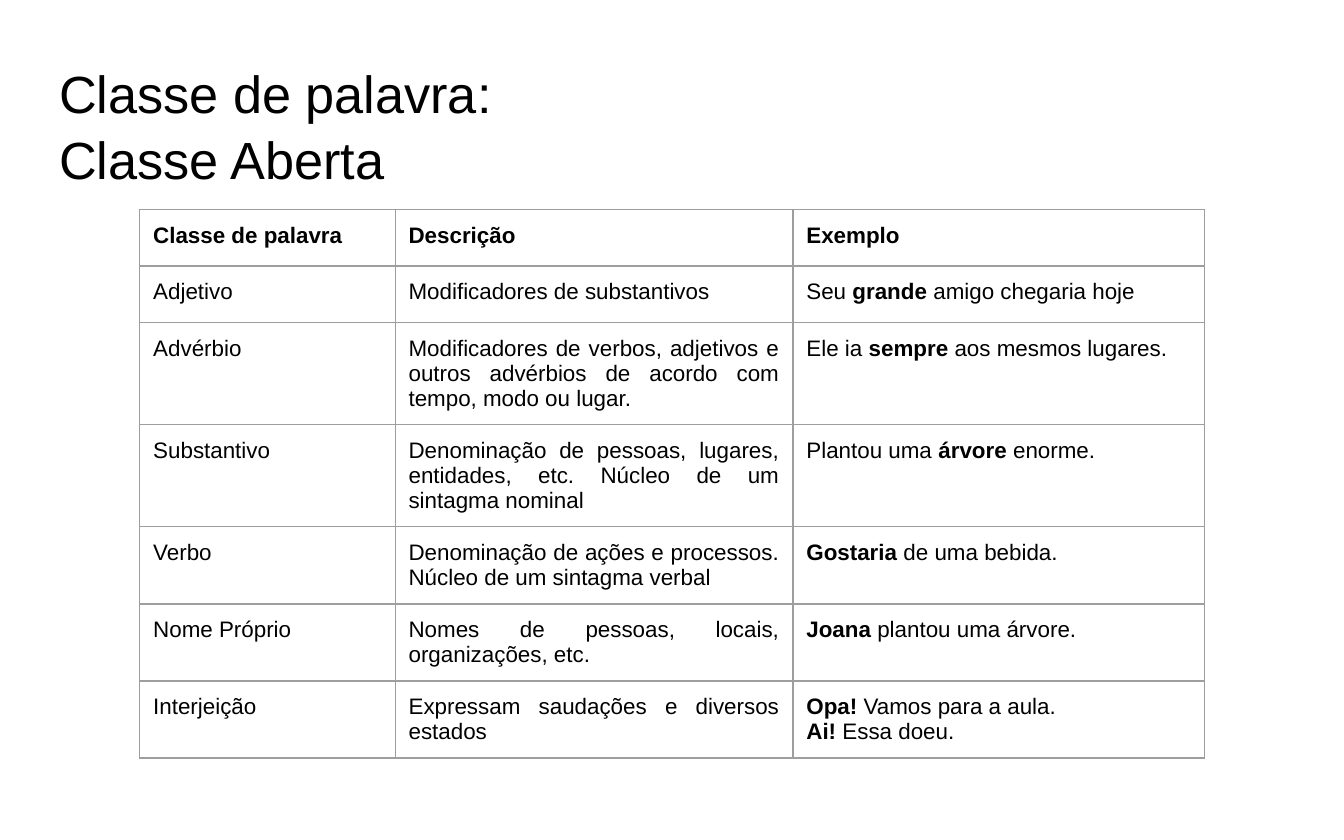
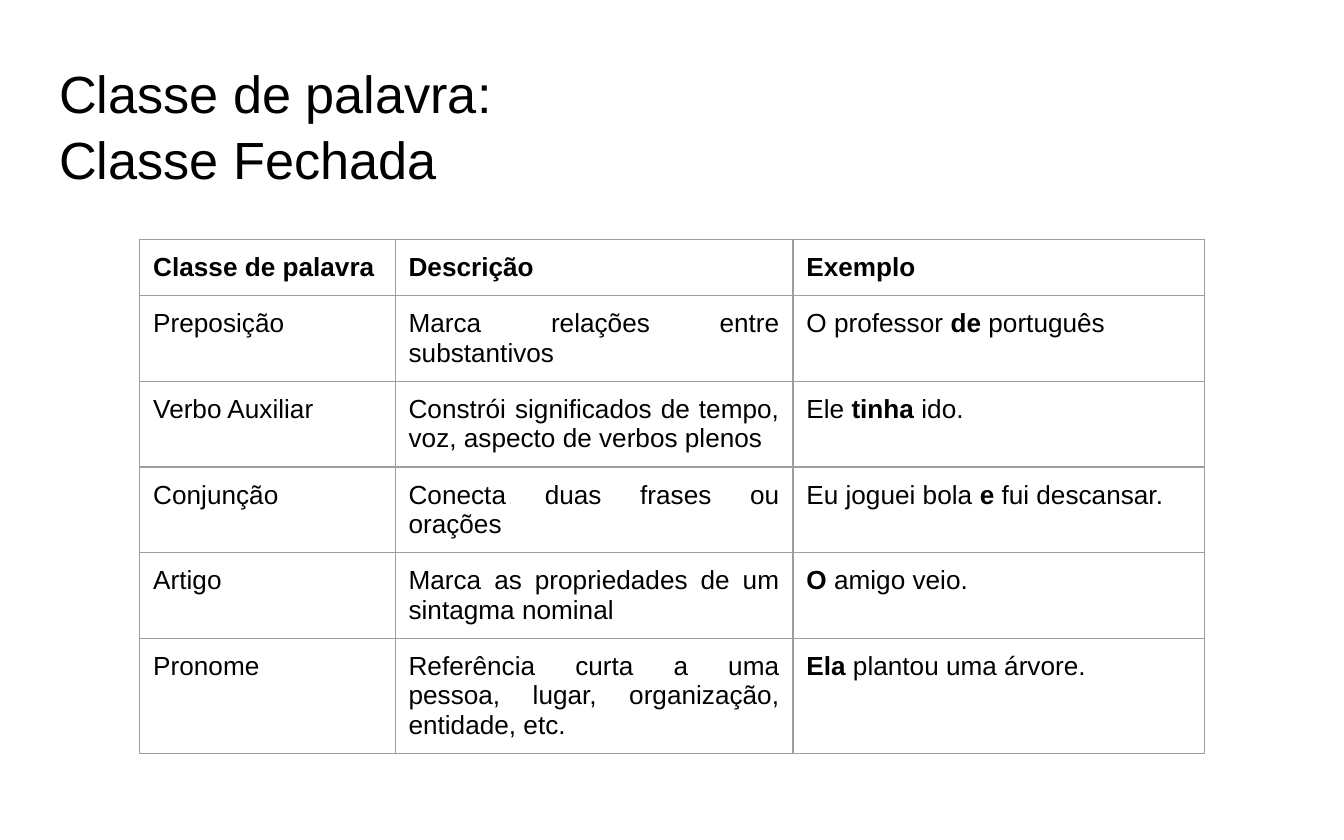
"""Build two slides with tables of open and closed Portuguese word classes."""
import lxml.etree
import pptx
import pptx.dml.color
import pptx.enum.text
import pptx.oxml.ns
import pptx.util

Inches = pptx.util.Inches
ALIGN = pptx.enum.text.PP_ALIGN
COLORS = {"background": "FFFFFF", "text": "000000", "border": "9E9E9E"}
FONT = "Arial"
INSET = Inches(0.1)
COLUMN_WIDTHS = [1.9, 2.96, 3.06]
ROW_HEIGHT = 0.42
HEADER = ("*Classe de palavra*", "*Descrição*", "*Exemplo*")

SLIDES = [
    {
        "title": "Classe de palavra:\nClasse Aberta",
        "top": 1.56,
        "size": 12,
        "rows": [
            ("Adjetivo", "Modificadores de substantivos",
             "Seu *grande* amigo chegaria hoje"),
            ("Advérbio",
             "Modificadores de verbos, adjetivos e outros advérbios de acordo com tempo, modo ou lugar.",
             "Ele ia *sempre* aos mesmos lugares."),
            ("Substantivo",
             "Denominação de pessoas, lugares, entidades, etc. Núcleo de um sintagma nominal",
             "Plantou uma *árvore* enorme."),
            ("Verbo", "Denominação de ações e processos. Núcleo de um sintagma verbal",
             "*Gostaria* de uma bebida."),
            ("Nome Próprio", "Nomes de pessoas, locais, organizações, etc.",
             "*Joana* plantou uma árvore."),
            ("Interjeição", "Expressam saudações e diversos estados",
             "*Opa! *Vamos para a aula.\n*Ai! *Essa doeu."),
        ],
    },
    {
        "title": "Classe de palavra:\nClasse Fechada",
        "top": 1.78,
        "size": 14,
        "rows": [
            ("Preposição", "Marca relações entre substantivos",
             "O professor *de* português"),
            ("Verbo Auxiliar",
             "Constrói significados de tempo, voz, aspecto de verbos plenos ",
             "Ele *tinha *ido."),
            ("Conjunção", "Conecta duas frases ou orações",
             "Eu joguei bola *e* fui descansar."),
            ("Artigo", "Marca as propriedades de um sintagma nominal",
             "*O* amigo veio."),
            ("Pronome", "Referência curta a uma pessoa, lugar, organização, entidade, etc.",
             "*Ela* plantou uma árvore."),
        ],
    },
]


def write_text(frame, text, size, align=ALIGN.LEFT, line_spacing=1.0):
    for index, line in enumerate(text.split("\n")):
        paragraph = frame.add_paragraph() if index else frame.paragraphs[0]
        paragraph.alignment = align
        paragraph.line_spacing = line_spacing
        for position, part in enumerate(line.split("*")):
            if part:
                run = paragraph.add_run()
                run.text = part
                run.font.name = FONT
                run.font.size = pptx.util.Pt(size)
                run.font.bold = position % 2 == 1
                run.font.color.rgb = pptx.dml.color.RGBColor.from_string(COLORS["text"])


def add_borders(cell):
    properties = cell._tc.get_or_add_tcPr()
    qn = pptx.oxml.ns.qn
    for side in ("lnL", "lnR", "lnT", "lnB"):
        line = lxml.etree.SubElement(properties, qn(f"a:{side}"), w=str(pptx.util.Pt(0.75)))
        fill = lxml.etree.SubElement(line, qn("a:solidFill"))
        lxml.etree.SubElement(fill, qn("a:srgbClr"), val=COLORS["border"])


presentation = pptx.Presentation()
presentation.slide_width = Inches(10)
presentation.slide_height = Inches(6.25)
background = presentation.slide_master.background.fill
background.solid()
background.fore_color.rgb = pptx.dml.color.RGBColor.from_string(COLORS["background"])

for content in SLIDES:
    slide = presentation.slides.add_slide(presentation.slide_layouts[5])
    title = slide.shapes.title
    title.left, title.top = Inches(0.34), Inches(0.33)
    title.width, title.height = Inches(9.32), Inches(0.7)
    frame = title.text_frame
    frame.margin_left = frame.margin_right = INSET
    frame.margin_top = frame.margin_bottom = INSET
    frame.auto_size = pptx.enum.text.MSO_AUTO_SIZE.NONE
    frame.vertical_anchor = pptx.enum.text.MSO_ANCHOR.TOP
    write_text(frame, content["title"], 28, line_spacing=1.05)

    rows = [HEADER] + content["rows"]
    table = slide.shapes.add_table(
        len(rows), len(COLUMN_WIDTHS), Inches(1.04), Inches(content["top"]),
        Inches(sum(COLUMN_WIDTHS)), Inches(ROW_HEIGHT * len(rows))).table
    table.first_row = table.horz_banding = False
    for column, width in zip(table.columns, COLUMN_WIDTHS):
        column.width = Inches(width)
    for row_index, row in enumerate(rows):
        table.rows[row_index].height = Inches(ROW_HEIGHT)
        for column_index, text in enumerate(row):
            cell = table.cell(row_index, column_index)
            cell.margin_left = cell.margin_right = INSET
            cell.margin_top = cell.margin_bottom = INSET
            add_borders(cell)
            cell.fill.background()
            justified = column_index == 1 or (row_index, column_index) == (2, 2)
            write_text(cell.text_frame, text, content["size"],
                       align=ALIGN.JUSTIFY if justified else ALIGN.LEFT)

presentation.save("out.pptx")
